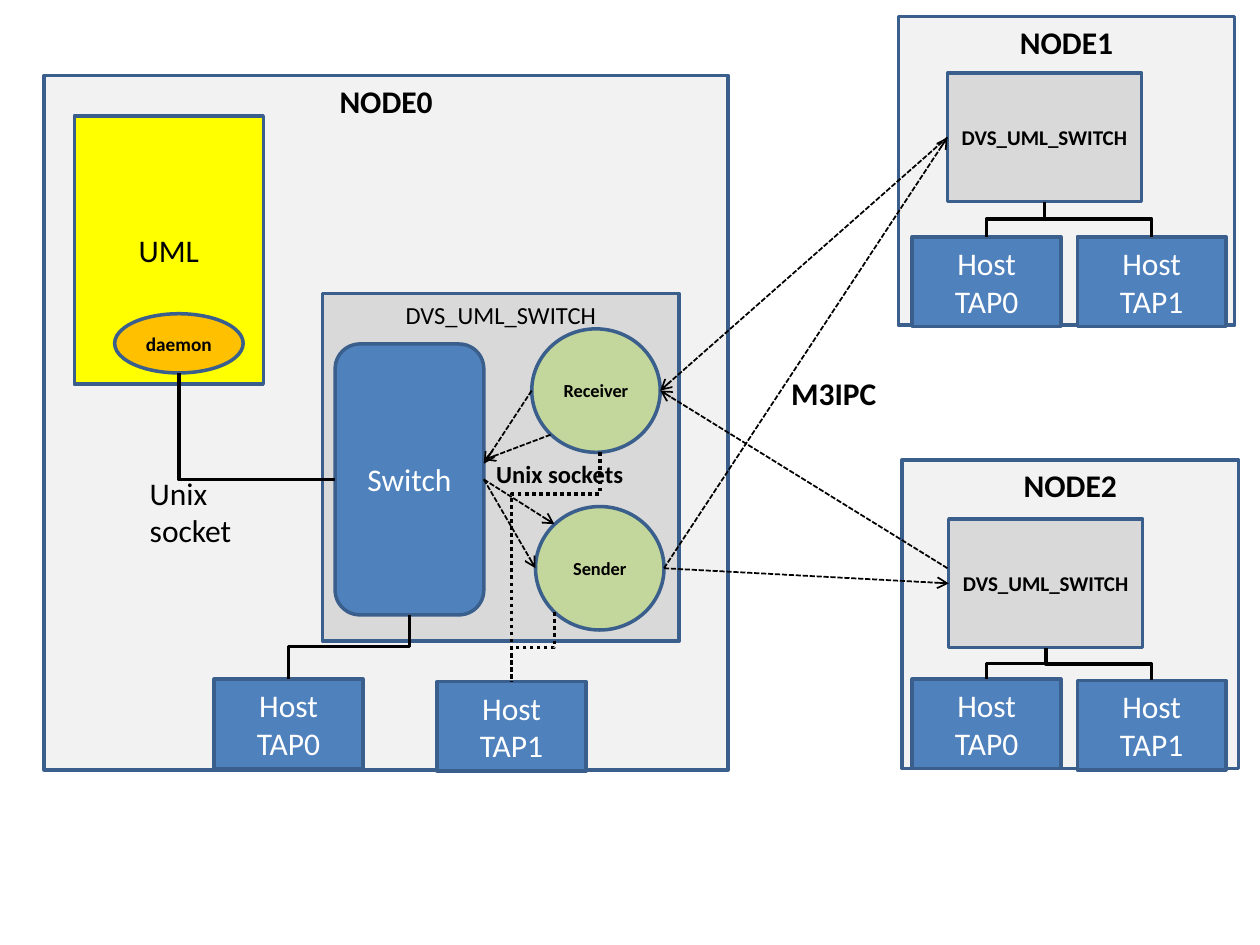
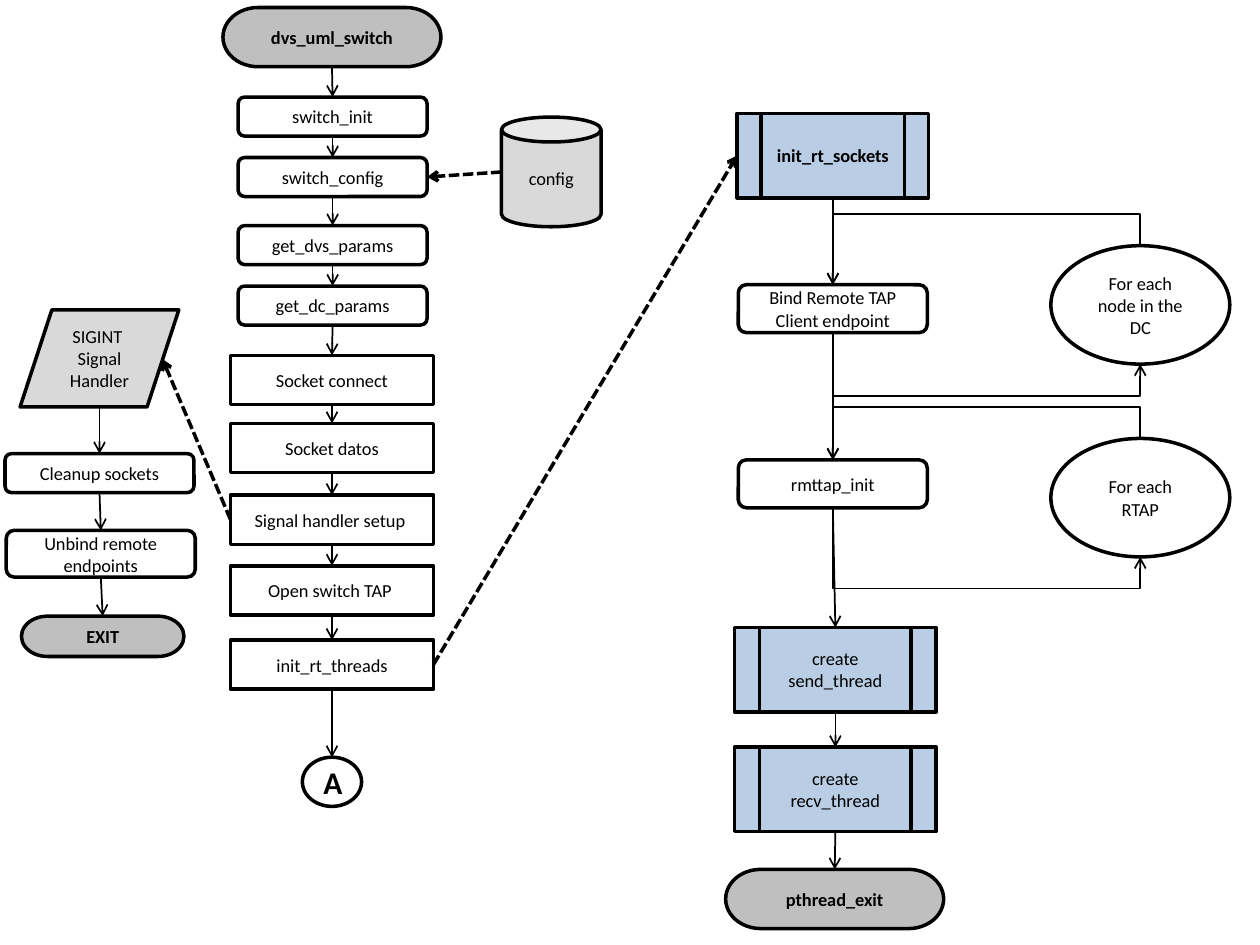
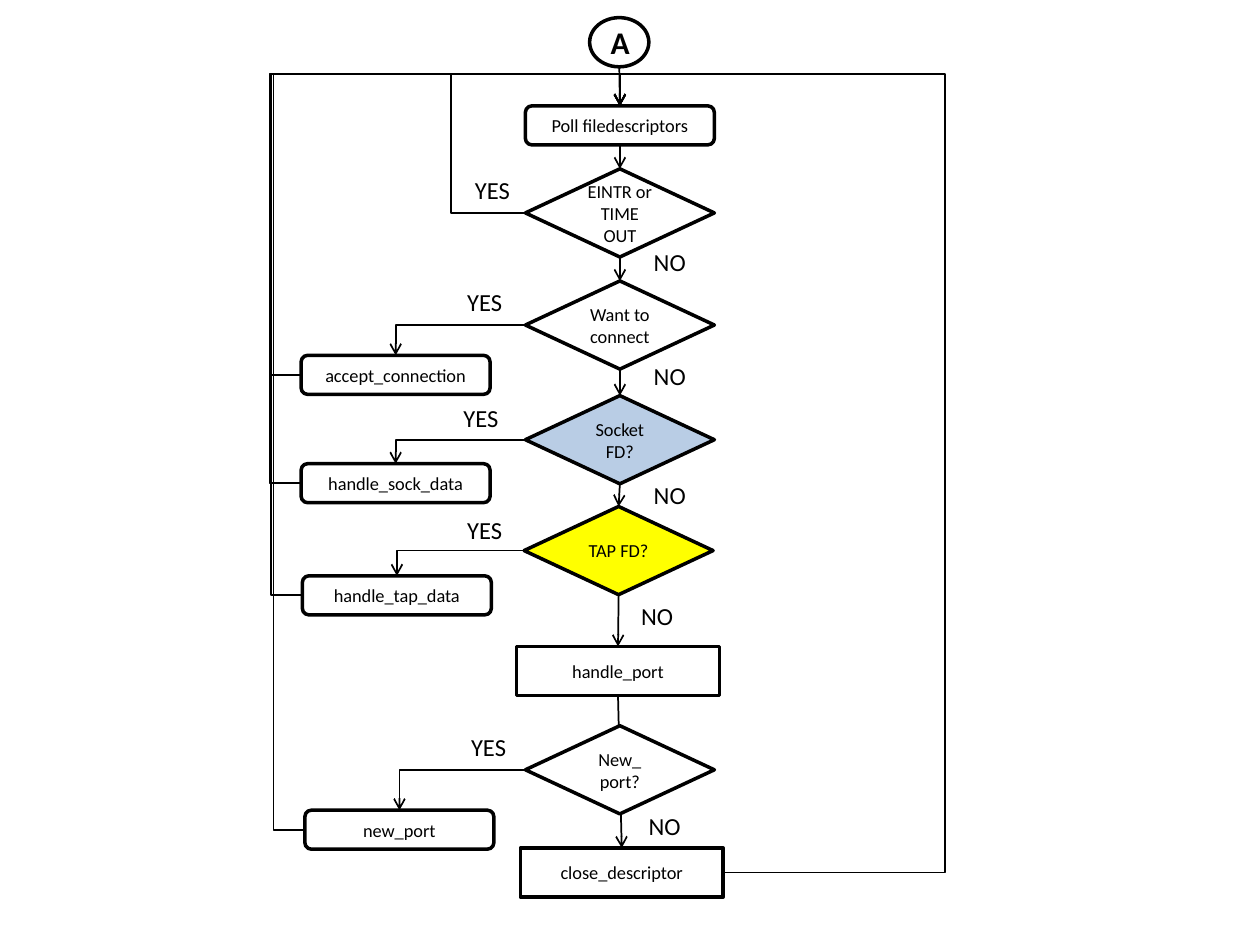
from lxml.etree import SubElement
from pptx import Presentation
from pptx.dml.color import RGBColor
from pptx.enum.dml import MSO_LINE
from pptx.enum.shapes import MSO_CONNECTOR, MSO_SHAPE as Kind
from pptx.enum.text import MSO_ANCHOR, MSO_AUTO_SIZE, PP_ALIGN
from pptx.oxml.ns import qn
from pptx.util import Inches, Pt

FONT = "Calibri"
BLACK, WHITE, NAVY = "000000", "FFFFFF", "3A5F8C"
PANEL, GREY, DARK_GREY = "F2F2F2", "D9D9D9", "BFBFBF"
BLUE, PALE_BLUE, GREEN = "4F81BD", "B9CDE5", "C3D69B"
YELLOW, ORANGE = "FFFF00", "FFC000"
DOTS, DASHES = MSO_LINE.ROUND_DOT, MSO_LINE.SQUARE_DOT


def rgb(color):
    return RGBColor.from_string(color)


def write(frame, text, size, color=BLACK, bold=False, align=PP_ALIGN.LEFT):
    frame.text = text
    for paragraph in frame.paragraphs:
        paragraph.alignment = align
        for run in paragraph.runs:
            run.font.name = FONT
            run.font.size = Pt(size)
            run.font.bold = bold
            run.font.color.rgb = rgb(color)


def box(slide, kind, at, text, size, fill, color=BLACK, bold=False,
        outline=NAVY, anchor=MSO_ANCHOR.MIDDLE):
    shape = slide.shapes.add_shape(kind, *map(Inches, at))
    shape.shadow.inherit = False
    shape.fill.solid()
    shape.fill.fore_color.rgb = rgb(fill)
    shape.line.color.rgb = rgb(outline)
    shape.line.width = Pt(2)
    shape.text_frame.vertical_anchor = anchor
    write(shape.text_frame, text, size, color, bold, PP_ALIGN.CENTER)
    return shape


def label(slide, at, text, size, bold=False, wrap=False):
    frame = slide.shapes.add_textbox(*map(Inches, at)).text_frame
    frame.word_wrap = wrap
    frame.auto_size = MSO_AUTO_SIZE.SHAPE_TO_FIT_TEXT
    write(frame, text, size, bold=bold)


def port(shape, across, down):
    """Point in inches at the given fractions of a shape's width and height."""
    return (shape.left.inches + across * shape.width.inches,
            shape.top.inches + down * shape.height.inches)


def top(shape):
    return port(shape, 0.5, 0)


def bottom(shape):
    return port(shape, 0.5, 1)


def left(shape):
    return port(shape, 0, 0.5)


def right(shape):
    return port(shape, 1, 0.5)


def bend(connector, points):
    """Turn a connector into the right-angled route through the points."""
    (x1, y1), (x2, y2) = points[0], points[-1]
    dx, dy = x2 - x1, y2 - y1
    upright = points[0][0] == points[1][0]
    if upright:
        turn = 270 if dx > 0 and dy > 0 else 90
        flip_h = (dy < 0) == (turn == 90)
        flip_v = (dx > 0) == (turn == 90)
        width, height = abs(dy), abs(dx)
    else:
        turn = 180 if dx * dy < 0 else 0
        flip_h = (dx < 0) != (turn == 180)
        flip_v = (dy < 0) != (turn == 180)
        width, height = abs(dx), abs(dy)
    connector.left = Inches((x1 + x2 - width) / 2)
    connector.top = Inches((y1 + y2 - height) / 2)
    connector.width, connector.height = Inches(width), Inches(height)

    properties = connector._element.spPr
    frame = properties.find(qn("a:xfrm"))
    for name, value in (("rot", turn * 60000), ("flipH", int(flip_h)), ("flipV", int(flip_v))):
        frame.set(name, str(value))
    geometry = properties.find(qn("a:prstGeom"))
    geometry.set("prst", f"bentConnector{len(points) - 1}")
    guides = geometry.find(qn("a:avLst"))
    if guides is None:
        guides = SubElement(geometry, qn("a:avLst"))
    for i, (x, y) in enumerate(points[1:-2], 1):
        along_y = upright == (i % 2 == 1)
        share = (y - y1) / dy if along_y else (x - x1) / dx
        SubElement(guides, qn("a:gd"), name=f"adj{i}", fmla=f"val {round(share * 100000)}")


def link(slide, *points, width=1, dash=None, arrow=True):
    """Connector through the points: straight for two, bent for more."""
    kind = MSO_CONNECTOR.STRAIGHT if len(points) == 2 else MSO_CONNECTOR.ELBOW
    connector = slide.shapes.add_connector(kind, *map(Inches, points[0] + points[-1]))
    if len(points) > 2:
        bend(connector, points)
    connector.line.color.rgb = rgb(BLACK)
    connector.line.width = Pt(width)
    if dash:
        connector.line.dash_style = dash
    properties = connector._element.spPr
    if arrow:
        SubElement(properties.find(qn("a:ln")), qn("a:tailEnd"), type="arrow")
    SubElement(properties, qn("a:effectLst"))


def vertical_route(start, end, middle):
    """Route that leaves vertically and crosses at the height given."""
    return start, (start[0], middle), (end[0], middle), end


def chain(slide, steps):
    for upper, lower in zip(steps, steps[1:]):
        link(slide, bottom(upper), top(lower))


def step(slide, kind, at, text, fill=WHITE, bold=False, size=10.5):
    return box(slide, kind, at, text, size, fill, bold=bold, outline=BLACK)


def rounded(slide, x, y, text, height=0.31):
    return step(slide, Kind.FLOWCHART_ALTERNATE_PROCESS, (x, y, 1.5, height), text)


def process(slide, x, y, text):
    return step(slide, Kind.FLOWCHART_PROCESS, (x, y, 1.61, 0.39), text)


def terminator(slide, at, text):
    return step(slide, Kind.FLOWCHART_TERMINATOR, at, text, DARK_GREY, True)


def page_mark(slide, x, y):
    return step(slide, Kind.FLOWCHART_CONNECTOR, (x, y, 0.47, 0.39), "A", bold=True, size=18)


def panel(slide, at, text, size, fill=PANEL, bold=True):
    return box(slide, Kind.RECTANGLE, at, text, size, fill, bold=bold, anchor=MSO_ANCHOR.TOP)


def host(slide, x, y, number):
    return box(slide, Kind.RECTANGLE, (x, y, 1.18, 0.71), f"Host\nTAP{number}", 18, BLUE, WHITE)


def remote_node(slide, name, node_at, switch_at, host_tops):
    panel(slide, node_at, name, 18)
    switch = box(slide, Kind.RECTANGLE, switch_at, "DVS_UML_SWITCH", 12, GREY, bold=True)
    for number, (x, y) in enumerate(zip((7.24, 8.55), host_tops)):
        tap = host(slide, x, y, number)
        middle = (bottom(switch)[1] + y) / 2
        link(slide, *vertical_route(bottom(switch), top(tap), middle), width=2, arrow=False)
    return switch


def build_architecture(slide):
    panel(slide, (0.35, 0.6, 5.43, 5.51), "NODE0", 18)
    box(slide, Kind.RECTANGLE, (0.59, 0.92, 1.5, 2.13), "UML", 18, YELLOW)
    daemon = box(slide, Kind.OVAL, (0.91, 2.49, 1.02, 0.47), "daemon", 11, ORANGE, bold=True)
    panel(slide, (2.56, 2.33, 2.83, 2.76), "DVS_UML_SWITCH", 14, GREY, False)
    switch = box(slide, Kind.ROUNDED_RECTANGLE, (2.66, 2.73, 1.18, 2.15), "Switch", 18,
                 BLUE, WHITE)
    receiver = box(slide, Kind.OVAL, (4.22, 2.61, 1.02, 0.98), "Receiver", 10.5, GREEN, bold=True)
    sender = box(slide, Kind.OVAL, (4.25, 4.02, 1.02, 0.98), "Sender", 10.5, GREEN, bold=True)
    tap0 = host(slide, 1.7, 5.39, 0)
    tap1 = host(slide, 3.47, 5.41, 1)
    switch1 = remote_node(slide, "NODE1", (7.13, 0.13, 2.67, 2.45),
                          (7.52, 0.58, 1.54, 1.02), (1.88, 1.88))
    switch2 = remote_node(slide, "NODE2", (7.16, 3.65, 2.67, 2.45),
                          (7.53, 4.12, 1.54, 1.02), (5.39, 5.4))

    socket_corner = (bottom(daemon)[0], left(switch)[1])
    link(slide, bottom(daemon), socket_corner, left(switch), width=2, arrow=False)
    link(slide, *vertical_route(top(tap0), bottom(switch), 5.13), width=2, arrow=False)
    for start, middle in (((4.4, 4.86), 5.14), ((4.76, 3.59), 3.92)):
        link(slide, *vertical_route(start, top(tap1), middle), width=2, dash=DOTS, arrow=False)

    messages = (
        (right(switch), left(sender)),
        (right(switch), (4.4, 4.16)),
        (left(receiver), (3.84, 3.68)),
        ((4.37, 3.45), (3.84, 3.65)),
        (right(sender), left(switch1)),
        (right(sender), left(switch2)),
        (left(switch1), right(receiver)),
        ((7.52, 4.51), right(receiver)),
    )
    for start, end in messages:
        link(slide, start, end, dash=DASHES)

    label(slide, (1.09, 3.71, 0.86, 0.71), "Unix\nsocket", 18)
    label(slide, (3.84, 3.59, 1.24, 0.34), "Unix sockets", 14, True, wrap=True)
    label(slide, (6.18, 2.92, 0.89, 0.4), "M3IPC", 18, True)


def build_startup(slide):
    start = terminator(slide, (1.77, 0.06, 1.73, 0.47), "dvs_uml_switch")
    setup = [rounded(slide, 1.89, y, text) for y, text in (
        (0.77, "switch_init"), (1.25, "switch_config"),
        (1.79, "get_dvs_params"), (2.27, "get_dc_params"))]
    sockets = [process(slide, 1.83, y, text) for y, text in (
        (2.82, "Socket connect"), (3.36, "Socket datos"), (3.93, "Signal handler setup "),
        (4.49, "Open switch TAP "), (5.08, "init_rt_threads"))]
    chain(slide, [start, *setup, *sockets, page_mark(slide, 2.4, 6.01)])

    config = step(slide, Kind.CAN, (3.98, 0.93, 0.79, 0.87), "config", GREY)
    handler = step(slide, Kind.FLOWCHART_DATA, (0.16, 2.46, 1.26, 0.77),
                   "SIGINT \nSignal Handler", GREY)
    chain(slide, [
        handler,
        rounded(slide, 0.04, 3.6, "Cleanup sockets"),
        rounded(slide, 0.05, 4.21, "Unbind remote\nendpoints", 0.37),
        terminator(slide, (0.17, 4.89, 1.29, 0.32), "EXIT"),
    ])

    def subroutine(at, text, bold=False):
        return step(slide, Kind.FLOWCHART_PREDEFINED_PROCESS, at, text, PALE_BLUE, bold)

    init = subroutine((5.85, 0.9, 1.52, 0.67), "init_rt_sockets", True)
    bind = rounded(slide, 5.86, 2.26, "Bind Remote TAP Client endpoint", 0.38)
    rmttap = rounded(slide, 5.86, 3.65, "rmttap_init", 0.38)
    chain(slide, [
        init, bind, rmttap,
        subroutine((5.83, 4.98, 1.6, 0.67), "create\nsend_thread"),
        subroutine((5.83, 5.93, 1.6, 0.67), "create\nrecv_thread"),
        terminator(slide, (5.76, 6.9, 1.73, 0.47), "pthread_exit"),
    ])
    for body, y, text, above, below in (
            (bind, 1.95, "For each node in the DC", 1.7, 3.14),
            (rmttap, 3.48, "For each RTAP", 3.23, 4.67)):
        loop = step(slide, Kind.OVAL, (8.34, y, 1.42, 0.94), text)
        link(slide, *vertical_route(top(loop), top(body), above))
        link(slide, *vertical_route(bottom(body), bottom(loop), below))

    for begin, end in (
            (left(config), right(setup[1])),
            (left(sockets[2]), (1.29, 2.85)),
            (right(sockets[4]), left(init))):
        link(slide, begin, end, width=2, dash=DASHES)


def build_poll_loop(slide):
    loop_top = 0.59
    entry = page_mark(slide, 4.68, 0.14)
    poll = rounded(slide, 4.17, 0.84, "Poll filedescriptors")
    handle_port = process(slide, 4.1, 5.13, "handle_port")
    close = process(slide, 4.13, 6.73, "close_descriptor")
    link(slide, bottom(handle_port), top(close))

    def decision(x, y, text, fill=WHITE):
        return step(slide, Kind.FLOWCHART_DECISION, (x, y, 1.5, 0.7), text, fill)

    def back_to_poll(start, x):
        link(slide, start, (x, start[1]), (x, loop_top), (top(poll)[0], loop_top), top(poll))

    interrupted = decision(4.17, 1.34, "EINTR or\nTIME OUT")
    connect = decision(4.17, 2.23, "Want to connect")
    socket = decision(4.17, 3.14, "Socket FD?", PALE_BLUE)
    tap = decision(4.16, 4.02, "TAP FD?", YELLOW)
    new_port = decision(4.17, 5.76, "New_\nport?")
    chain(slide, [entry, poll, interrupted, connect, socket, tap, handle_port])

    back_to_poll(left(interrupted), 3.58)
    back_to_poll(right(close), 7.5)
    for question, x, y, text in (
            (connect, 2.39, 2.82, "accept_connection"),
            (socket, 2.39, 3.68, "handle_sock_data"),
            (tap, 2.4, 4.57, "handle_tap_data"),
            (new_port, 2.42, 6.43, "new_port")):
        action = rounded(slide, x, y, text)
        link(slide, left(question), (top(action)[0], left(question)[1]), top(action))
        back_to_poll(left(action), x - 0.25)

    for x, y in ((3.67, 1.34), (3.61, 2.23), (3.58, 3.15), (3.61, 4.04), (3.64, 5.76)):
        label(slide, (x, y, 0.48, 0.34), "YES", 14)
    for x, y in ((5.09, 1.91), (5.09, 2.82), (5.09, 3.76), (4.99, 4.72), (5.05, 6.39)):
        label(slide, (x, y, 0.46, 0.34), "NO", 14)


def main():
    deck = Presentation()
    deck.slide_width, deck.slide_height = Inches(10), Inches(7.5)
    blank = deck.slide_layouts[6]
    for build in (build_architecture, build_startup, build_poll_loop):
        build(deck.slides.add_slide(blank))
    deck.save("out.pptx")


if __name__ == "__main__":
    main()
